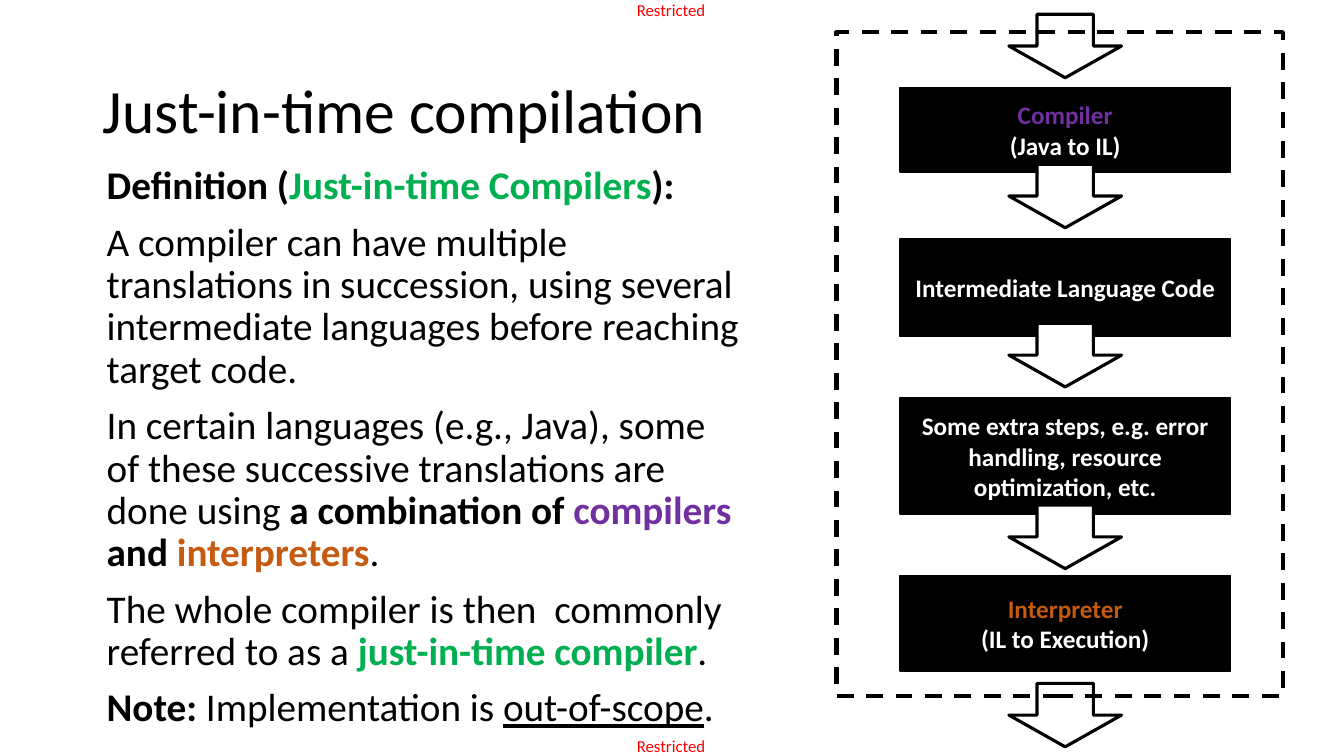
from pptx import Presentation
from pptx.dml.color import RGBColor
from pptx.enum.dml import MSO_LINE
from pptx.enum.shapes import MSO_SHAPE
from pptx.enum.text import MSO_ANCHOR, MSO_AUTO_SIZE, PP_ALIGN
from pptx.util import Cm, Pt

BLACK = RGBColor(0x00, 0x00, 0x00)
WHITE = RGBColor(0xFF, 0xFF, 0xFF)
RED = RGBColor(0xFF, 0x00, 0x00)
GREEN = RGBColor(0x00, 0xB0, 0x50)
PURPLE = RGBColor(0x70, 0x30, 0xA0)
ORANGE = RGBColor(0xC5, 0x5A, 0x11)
FONT = "Calibri"

DEFINITION = [
    [("Definition (", BLACK, "b"), ("Just-in-time Compilers", GREEN, "b"), ("):", BLACK, "b")],
    [("A compiler can have multiple translations in succession, using several "
      "intermediate languages before reaching target code.", BLACK, "")],
    [("In certain languages (e.g., Java), some of these successive translations "
      "are done using ", BLACK, ""),
     ("a combination of ", BLACK, "b"), ("compilers ", PURPLE, "b"),
     ("and ", BLACK, "b"), ("interpreters", ORANGE, "b"), (".", BLACK, "")],
    [("The whole compiler is then  commonly referred to as a ", BLACK, ""),
     ("just-in-time compiler", GREEN, "b"), (".", BLACK, "")],
    [("Note: ", BLACK, "b"), ("Implementation is ", BLACK, ""),
     ("out-of-scope", BLACK, "u"), (".", BLACK, "")],
]

STAGES = [
    (1.4, 2.13, [[("Compiler", PURPLE, "b")], [("(Java to IL)", WHITE, "b")]]),
    (5.21, 2.46, [[("Intermediate Language Code", WHITE, "b")]]),
    (9.22, 2.92, [[("Some extra steps, e.g. error handling, resource optimization, etc.",
                    WHITE, "b")]]),
    (13.69, 2.41, [[("Interpreter", ORANGE, "b")], [("(IL to Execution)", WHITE, "b")]]),
]
ARROW_TOPS = [-0.45, 3.33, 7.34, 11.92, 16.41]


def write_paragraphs(text_frame, paragraphs, size, alignment=PP_ALIGN.LEFT,
                     line_spacing=1.0, space_before=0):
    """Fill a text frame with paragraphs of (text, colour, style) runs."""
    for index, runs in enumerate(paragraphs):
        paragraph = text_frame.add_paragraph() if index else text_frame.paragraphs[0]
        paragraph.alignment = alignment
        paragraph.line_spacing = line_spacing
        paragraph.space_before = Pt(space_before)
        for text, color, style in runs:
            run = paragraph.add_run()
            run.text = text
            run.font.name = FONT
            run.font.size = Pt(size)
            run.font.color.rgb = color
            run.font.bold = "b" in style
            run.font.underline = "u" in style


def add_outlined_shape(slide, kind, box, fill, line_width):
    """Add a preset shape with a black outline and an optional fill."""
    shape = slide.shapes.add_shape(kind, *map(Cm, box))
    shape.shadow.inherit = False
    if fill is None:
        shape.fill.background()
    else:
        shape.fill.solid()
        shape.fill.fore_color.rgb = fill
    shape.line.color.rgb = BLACK
    shape.line.width = Pt(line_width)
    return shape


def add_restricted_label(slide, left, top, width, height):
    """Add the small red marking."""
    text_frame = slide.shapes.add_textbox(*map(Cm, (left, top, width, height))).text_frame
    text_frame.margin_left = text_frame.margin_right = 0
    text_frame.margin_top = text_frame.margin_bottom = 0
    text_frame.word_wrap = False
    write_paragraphs(text_frame, [[("Restricted", RED, "")]], 12)


def format_title(slide, left, top, width, height):
    """Place and write the title."""
    title = slide.shapes.title
    title.left, title.top, title.width, title.height = map(Cm, (left, top, width, height))
    title.text_frame.vertical_anchor = MSO_ANCHOR.MIDDLE
    title.text_frame.auto_size = MSO_AUTO_SIZE.NONE
    write_paragraphs(title.text_frame, [[("Just-in-time compilation", BLACK, "")]], 44,
                     line_spacing=0.9)


def add_definition(slide, left, top, width, height):
    """Add the explanatory text."""
    text_frame = slide.shapes.add_textbox(*map(Cm, (left, top, width, height))).text_frame
    text_frame.word_wrap = True
    write_paragraphs(text_frame, DEFINITION, 28, line_spacing=0.9, space_before=10)


def add_pipeline(slide, left, top, width, height):
    """Add the stages and arrows within a dashed frame."""
    stage_left, stage_width = left + 1.6, 8.33
    arrow_width, arrow_height = 2.84, 1.6
    arrow_left = stage_left + (stage_width - arrow_width) / 2
    for offset, stage_height, paragraphs in STAGES:
        box = (stage_left, top + offset, stage_width, stage_height)
        stage = add_outlined_shape(slide, MSO_SHAPE.RECTANGLE, box, BLACK, 1)
        stage.text_frame.word_wrap = True
        stage.text_frame.vertical_anchor = MSO_ANCHOR.MIDDLE
        write_paragraphs(stage.text_frame, paragraphs, 18, PP_ALIGN.CENTER)
    for offset in ARROW_TOPS:
        box = (arrow_left, top + offset, arrow_width, arrow_height)
        add_outlined_shape(slide, MSO_SHAPE.DOWN_ARROW, box, WHITE, 2.25)
    frame = add_outlined_shape(slide, MSO_SHAPE.RECTANGLE, (left, top, width, height), None, 3)
    frame.line.dash_style = MSO_LINE.DASH


def main():
    """Build and save the presentation."""
    presentation = Presentation()
    presentation.slide_width, presentation.slide_height = Cm(33.87), Cm(19.05)
    slide = presentation.slides.add_slide(presentation.slide_layouts[5])
    for label_top in (0, 18.54):
        add_restricted_label(slide, 16.05, label_top, 1.85, 0.51)
    format_title(slide, 2.34, 1.02, 29.21, 3.68)
    add_definition(slide, 2.44, 4.06, 16.48, 14.76)
    add_pipeline(slide, 21.08, 0.81, 11.25, 16.74)
    presentation.save("out.pptx")


if __name__ == "__main__":
    main()
